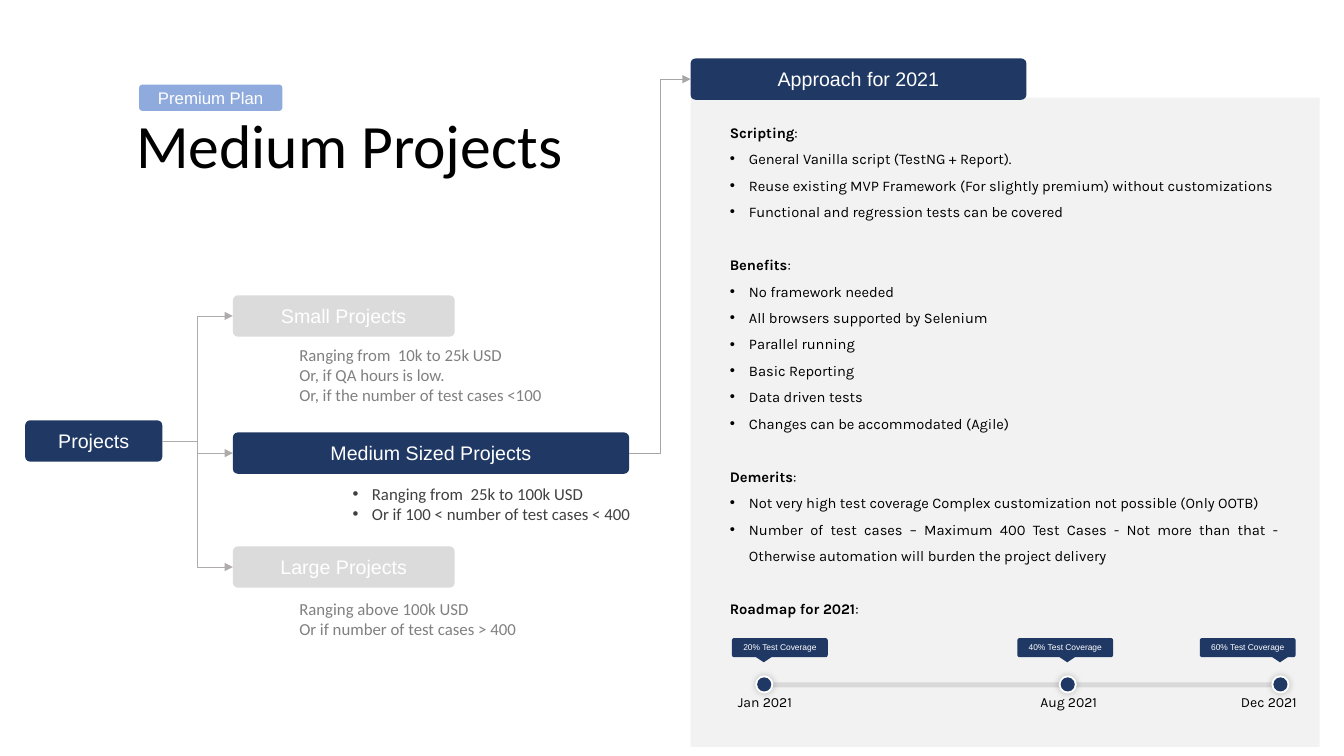
"""Build the Medium Projects slide with its project tree, approach panel and roadmap."""
from dataclasses import dataclass

from lxml.etree import SubElement
from pptx import Presentation
from pptx.dml.color import RGBColor
from pptx.enum.shapes import MSO_CONNECTOR, MSO_SHAPE
from pptx.enum.text import MSO_ANCHOR, PP_ALIGN
from pptx.oxml.ns import qn
from pptx.util import Pt

TITLE = ("Medium Projects", (125, 75, 1150, 145))
PLAN = ("Premium Plan", (138, 84, 142, 26))
ROOT = ("Projects", (25, 417, 136, 41))
APPROACH = ("Approach for 2021", (685, 58, 333, 41))
PANEL = (685, 97, 624, 644)
PANEL_TEXT = (714, 109, 564, 537)

PROJECTS = [
    ("Small Projects", (231, 293, 220, 41), (287, 337, 371, 71), False,
     ["Ranging from  10k to 25k USD", "Or, if QA hours is low.",
      "Or, if the number of test cases <100"]),
    ("Medium Sized Projects", (231, 429, 393, 41), (340, 475, 308, 50), True,
     ["Ranging from  25k to 100k USD", "Or if 100 < number of test cases < 400"]),
    ("Large Projects", (231, 542, 220, 41), (287, 589, 344, 50), False,
     ["Ranging above 100k USD", "Or if number of test cases > 400"]),
]

SECTIONS = [
    ("Scripting", [
        "General Vanilla script (TestNG + Report).",
        "Reuse existing MVP Framework (For slightly premium) without customizations",
        "Functional and regression tests can be covered"]),
    ("Benefits", [
        "No framework needed", "All browsers supported by Selenium", "Parallel running",
        "Basic Reporting", "Data driven tests", "Changes can be accommodated (Agile)"]),
    ("Demerits", [
        "Not very high test coverage Complex customization not possible (Only OOTB)",
        "Number of test cases – Maximum 400 Test Cases - Not more than that - "
        "Otherwise automation will burden the project delivery"]),
    ("Roadmap for 2021", []),
]

MILESTONES = [
    ("Jan 2021", "20% Test Coverage", 758, 726, 722),
    ("Aug 2021", "40% Test Coverage", 1059, 1009, 1022),
    ("Dec 2021", "60% Test Coverage", 1270, 1190, 1221),
]
TRACK = (758, 677, 519, 5)
MARKER_Y, LABEL_Y, POINTER_Y, DATE_Y = 679, 633, 652, 683


@dataclass(frozen=True)
class Theme:
    """Colours, fonts and type sizes."""
    navy: str = "203864"
    sky: str = "8FAADC"
    muted: str = "DBDBDB"
    panel: str = "F2F2F2"
    track: str = "D9D9D9"
    white: str = "FFFFFF"
    black: str = "000000"
    active_text: str = "404040"
    muted_text: str = "808080"
    branch: str = "AFABAB"
    link: str = "A6A6A6"
    box_font: str = "Arial"
    note_font: str = "Calibri"
    body_font: str = "Karla"
    title: float = 44
    box: float = 14
    note: float = 12
    body: float = 10.5
    date: float = 10
    label: float = 6
    gap: float = 19


THEME = Theme()
SCALE = 9144


def px(*lengths):
    return [round(length * SCALE) for length in lengths]


def style(paragraph, font, size, color):
    for run in paragraph.runs:
        run.font.name = font
        run.font.size = Pt(size)
        run.font.color.rgb = RGBColor.from_string(color)


def add_bullet(paragraph):
    properties = paragraph._p.get_or_add_pPr()
    indent = px(19)[0]
    properties.set("marL", str(indent))
    properties.set("indent", str(-indent))
    SubElement(properties, qn("a:buFont"), typeface="Arial")
    SubElement(properties, qn("a:buChar"), char="•")


def add_block(slide, kind, area, fill):
    shape = slide.shapes.add_shape(kind, *px(*area))
    shape.shadow.inherit = False
    shape.fill.solid()
    shape.fill.fore_color.rgb = RGBColor.from_string(fill)
    shape.line.fill.background()
    return shape


def add_box(slide, text, area, fill, size):
    shape = add_block(slide, MSO_SHAPE.ROUNDED_RECTANGLE, area, fill)
    shape.adjustments[0] = 0.12
    frame = shape.text_frame
    frame.margin_left = frame.margin_right = frame.margin_top = frame.margin_bottom = 0
    frame.vertical_anchor = MSO_ANCHOR.MIDDLE
    frame.text = text
    frame.paragraphs[0].alignment = PP_ALIGN.CENTER
    style(frame.paragraphs[0], THEME.box_font, size, THEME.white)
    return shape


def add_text(slide, lines, area, font, size, color, bullets=False):
    frame = slide.shapes.add_textbox(*px(*area)).text_frame
    frame.word_wrap = True
    frame.text = "\n".join(lines)
    for paragraph in frame.paragraphs:
        style(paragraph, font, size, color)
        if bullets:
            add_bullet(paragraph)


def add_elbow(slide, start, end, color):
    connector = slide.shapes.add_connector(MSO_CONNECTOR.ELBOW, 0, 0, 0, 0)
    connector.begin_connect(start, 3)
    connector.end_connect(end, 1)
    connector.line.color.rgb = RGBColor.from_string(color)
    connector.line.width = Pt(0.5)
    SubElement(connector.line._get_or_add_ln(), qn("a:tailEnd"), type="triangle")
    SubElement(connector._element.spPr, qn("a:effectLst"))


def add_title(slide):
    text, area = TITLE
    title = slide.shapes.title
    title.left, title.top, title.width, title.height = px(*area)
    title.text_frame.text = text
    title.text_frame.vertical_anchor = MSO_ANCHOR.MIDDLE
    paragraph = title.text_frame.paragraphs[0]
    paragraph.alignment = PP_ALIGN.LEFT
    paragraph.line_spacing = 0.9
    style(paragraph, THEME.note_font, THEME.title, THEME.black)


def add_tree(slide, approach):
    root = add_box(slide, *ROOT, THEME.navy, THEME.box)
    for name, area, note_area, active, notes in PROJECTS:
        box = add_box(slide, name, area, THEME.navy if active else THEME.muted, THEME.box)
        add_elbow(slide, root, box, THEME.branch)
        add_text(slide, notes, note_area, THEME.note_font, THEME.note,
                 THEME.active_text if active else THEME.muted_text, active)
        if active:
            add_elbow(slide, box, approach, THEME.link)


def add_sections(slide):
    frame = slide.shapes.add_textbox(*px(*PANEL_TEXT)).text_frame
    frame.word_wrap = True
    paragraph = frame.paragraphs[0]
    for index, (heading, points) in enumerate(SECTIONS):
        if index:
            paragraph = frame.add_paragraph()
            paragraph.space_before = Pt(THEME.gap)
        paragraph.text = heading
        paragraph.runs[0].font.bold = True
        paragraph.add_run().text = ":"
        for point in points:
            paragraph = frame.add_paragraph()
            paragraph.text = point
            paragraph.alignment = PP_ALIGN.JUSTIFY
    for paragraph in frame.paragraphs:
        paragraph.line_spacing = 1.5
        style(paragraph, THEME.body_font, THEME.body, THEME.black)
        if paragraph.alignment == PP_ALIGN.JUSTIFY:
            add_bullet(paragraph)


def add_dot(slide, center, size, fill):
    area = (center - size // 2, MARKER_Y - size // 2, size, size)
    return add_block(slide, MSO_SHAPE.OVAL, area, fill)


def add_roadmap(slide):
    track = add_block(slide, MSO_SHAPE.ROUNDED_RECTANGLE, TRACK, THEME.track)
    track.adjustments[0] = 0.5
    for date, label, center, label_left, date_left in MILESTONES:
        ring = add_dot(slide, center, 18, THEME.white)
        effects = ring._element.spPr.find(qn("a:effectLst"))
        shadow = SubElement(effects, qn("a:outerShdw"), blurRad=str(Pt(5)), dist="0")
        color = SubElement(shadow, qn("a:srgbClr"), val=THEME.black)
        SubElement(color, qn("a:alpha"), val="21000")
        add_dot(slide, center, 14, THEME.navy)
        add_text(slide, [date], (date_left, DATE_Y, 90, 27),
                 THEME.body_font, THEME.date, THEME.black)
        add_box(slide, label, (label_left, LABEL_Y, 95, 19), THEME.navy, THEME.label)
        pointer = add_block(slide, MSO_SHAPE.ISOSCELES_TRIANGLE,
                            (center - 8, POINTER_Y, 15, 5), THEME.navy)
        pointer.rotation = 180


def main():
    presentation = Presentation()
    presentation.slide_width, presentation.slide_height = px(1333, 750)
    slide = presentation.slides.add_slide(presentation.slide_layouts[5])
    add_block(slide, MSO_SHAPE.RECTANGLE, PANEL, THEME.panel)
    add_title(slide)
    approach = add_box(slide, *APPROACH, THEME.navy, THEME.box)
    add_tree(slide, approach)
    add_sections(slide)
    add_roadmap(slide)
    add_box(slide, *PLAN, THEME.sky, THEME.note)
    presentation.save("out.pptx")


if __name__ == "__main__":
    main()
